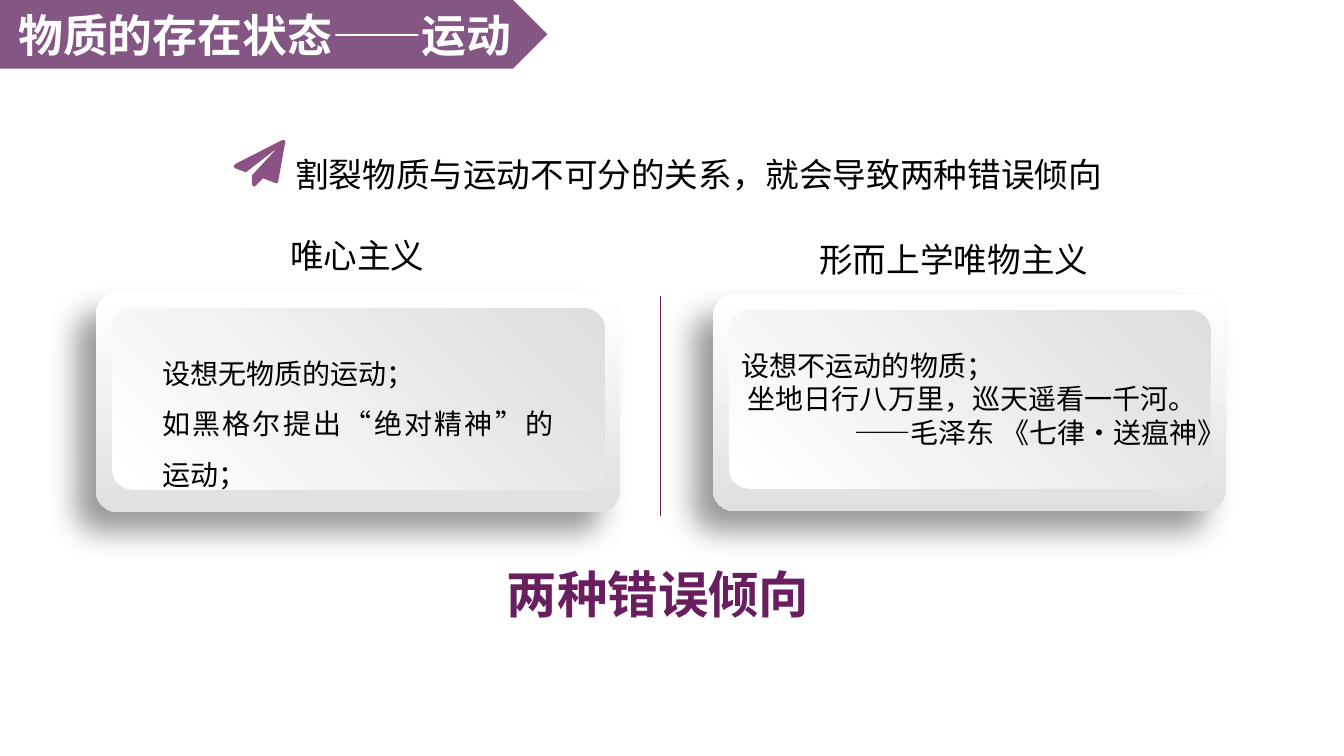
from dataclasses import dataclass
from typing import Any

from lxml.etree import SubElement
from pptx import Presentation
from pptx.dml.color import RGBColor
from pptx.enum.lang import MSO_LANGUAGE_ID as Lang
from pptx.enum.shapes import MSO_CONNECTOR as Connector, MSO_SHAPE as Preset
from pptx.enum.text import MSO_ANCHOR as Anchor, MSO_AUTO_SIZE as AutoSize, PP_ALIGN as Align
from pptx.oxml.ns import qn
from pptx.util import Inches, Pt

BLACK = RGBColor(0x00, 0x00, 0x00)
WHITE = RGBColor(0xFF, 0xFF, 0xFF)
SILVER = RGBColor(0xE0, 0xE0, 0xE0)
PALE_GRAY = RGBColor(0xDD, 0xDE, 0xDD)
BANNER_PURPLE = RGBColor(0x5A, 0x1B, 0x58)
PLUM = RGBColor(0x6A, 0x1F, 0x5F)
CONCLUSION_PLUM = RGBColor(0x68, 0x1E, 0x5F)

# Outline of the paper plane, in hundredths of an inch
PLANE = [(51, 2), (44, 41), (43, 43), (42, 43), (29, 38), (21, 46), (19, 46), (18, 44), (18, 35),
         (43, 8), (12, 32), (1, 28), (0, 26), (1, 24), (48, 0), (50, 0), (51, 1)]


def write(paragraph, text, size=20, color=BLACK, bold=False, align=None, spacing=None,
          indent=0, typeface="Noto Sans CJK SC"):
    paragraph.alignment = align
    paragraph.line_spacing = spacing
    if indent:
        paragraph._p.get_or_add_pPr().set("indent", str(Inches(indent)))
    run = paragraph.add_run()
    run.text = text
    font = run.font
    font.size, font.bold, font.name = Pt(size), bold, typeface
    font.color.rgb = color
    font.language_id = Lang.SIMPLIFIED_CHINESE
    SubElement(font._element, qn("a:ea"), typeface=typeface)


def add_alpha(parent, percent):
    """Make the RGB colour under parent partly transparent."""
    color = next(parent.iter(qn("a:srgbClr")))
    SubElement(color, qn("a:alpha"), val=str(percent * 1000))


@dataclass
class SlideBuilder:
    """Places elements; positions and sizes are percent of the slide."""
    slide: Any
    width: int
    height: int

    def place(self, x, y):
        return round(self.width * x / 100), round(self.height * y / 100)

    def frame(self, x, y, w, h):
        return *self.place(x, y), *self.place(w, h)

    def textbox(self, box, *lines, wrap=True):
        """Each line is a pair of text and its format."""
        frame = self.slide.shapes.add_textbox(*self.frame(*box)).text_frame
        frame.word_wrap = wrap
        frame.auto_size = AutoSize.SHAPE_TO_FIT_TEXT
        for number, (text, style) in enumerate(lines):
            write(frame.add_paragraph() if number else frame.paragraphs[0], text, **style)

    def tint(self, shape, color, alpha):
        shape.shadow.inherit = False
        shape.line.fill.background()
        shape.fill.solid()
        shape.fill.fore_color.rgb = color
        add_alpha(shape._element.spPr, alpha)

    def banner(self, box, text):
        banner = self.slide.shapes.add_shape(Preset.PENTAGON, *self.frame(*box))
        self.tint(banner, BANNER_PURPLE, 74)
        banner.text_frame.word_wrap = True
        banner.text_frame.vertical_anchor = Anchor.MIDDLE
        write(banner.text_frame.paragraphs[0], text, size=32, color=WHITE, bold=True,
              align=Align.CENTER)

    def plane(self, x, y):
        builder = self.slide.shapes.build_freeform(*PLANE[0], scale=Inches(0.01))
        builder.add_line_segments(PLANE[1:], close=True)
        self.tint(builder.convert_to_shape(*self.place(x, y)), PLUM, 77)

    def divider(self, x, top, bottom):
        line = self.slide.shapes.add_connector(
            Connector.STRAIGHT, *self.place(x, top), *self.place(x, bottom))
        line.line.color.rgb = PLUM
        line.line.width = Pt(0.5)
        SubElement(line._element.spPr, qn("a:effectLst"))

    def panel(self, box, radius, end_color, angle):
        panel = self.slide.shapes.add_shape(Preset.ROUNDED_RECTANGLE, *self.frame(*box))
        panel.adjustments[0] = radius
        panel.shadow.inherit = False
        panel.line.fill.background()
        panel.fill.gradient()
        panel.fill.gradient_angle = angle
        for stop, color, position in zip(panel.fill.gradient_stops, (WHITE, end_color), (0, 1)):
            stop.color.rgb = color
            stop.position = position
        return panel

    def card(self, x, y, w, h):
        """A raised panel with a soft shadow and a lighter inset face."""
        base = self.panel((x, y, w, h), 0.1, SILVER, 270)
        effects = base._element.spPr.find(qn("a:effectLst"))
        shadow = SubElement(effects, qn("a:outerShdw"), blurRad=str(Pt(22)), dist=str(Pt(20)),
                            dir=str(135 * 60000), algn="tr", rotWithShape="0")
        SubElement(shadow, qn("a:srgbClr"), val=str(BLACK))
        add_alpha(shadow, 40)
        self.panel((x + 1.2, y + 2.13, w - 2.33, h - 5.07), 0.115, PALE_GRAY, 45)


def main():
    deck = Presentation()
    deck.slide_width, deck.slide_height = Inches(13.33), Inches(7.5)
    slide = deck.slides.add_slide(deck.slide_layouts[6])
    page = SlideBuilder(slide, deck.slide_width, deck.slide_height)

    heading = {"size": 24}
    justified = {"align": Align.JUSTIFY}
    spaced = {"align": Align.JUSTIFY, "spacing": 1.5}

    page.banner((0, 0, 40.73, 9.07), "物质的存在状态——运动")
    page.plane(17.4, 18.53)
    page.textbox((21.23, 19.73, 61.97, 6.67),
                 ("割裂物质与运动不可分的关系，就会导致两种错误倾向", heading))
    page.divider(49.13, 39.2, 68.27)

    page.textbox((19.8, 30.4, 13.58, 6.67), ("唯心主义", {**heading, "align": Align.CENTER}))
    page.card(7.13, 38.67, 39, 29.07)
    page.textbox((11.33, 44.27, 30.6, 14.8),
                 ("设想无物质的运动；", spaced),
                 ("如黑格尔提出“绝对精神”的运动；", spaced))

    page.textbox((60.23, 30.93, 21.68, 6.67), ("形而上学唯物主义", heading), wrap=False)
    page.card(53.03, 38.93, 38.18, 28.67)
    page.textbox((54.45, 43.2, 40.65, 21.07),
                 ("设想不运动的物质；", spaced),
                 ("坐地日行八万里，巡天遥看一千河。", {**justified, "indent": 0.06}),
                 ("——毛泽东 《七律·送瘟神》", {**justified, "indent": 1.12}))

    page.textbox((36.98, 73.87, 24.23, 9.47),
                 ("两种错误倾向", {"size": 36, "color": CONCLUSION_PLUM, "bold": True}), wrap=False)
    deck.save("out.pptx")


if __name__ == "__main__":
    main()
